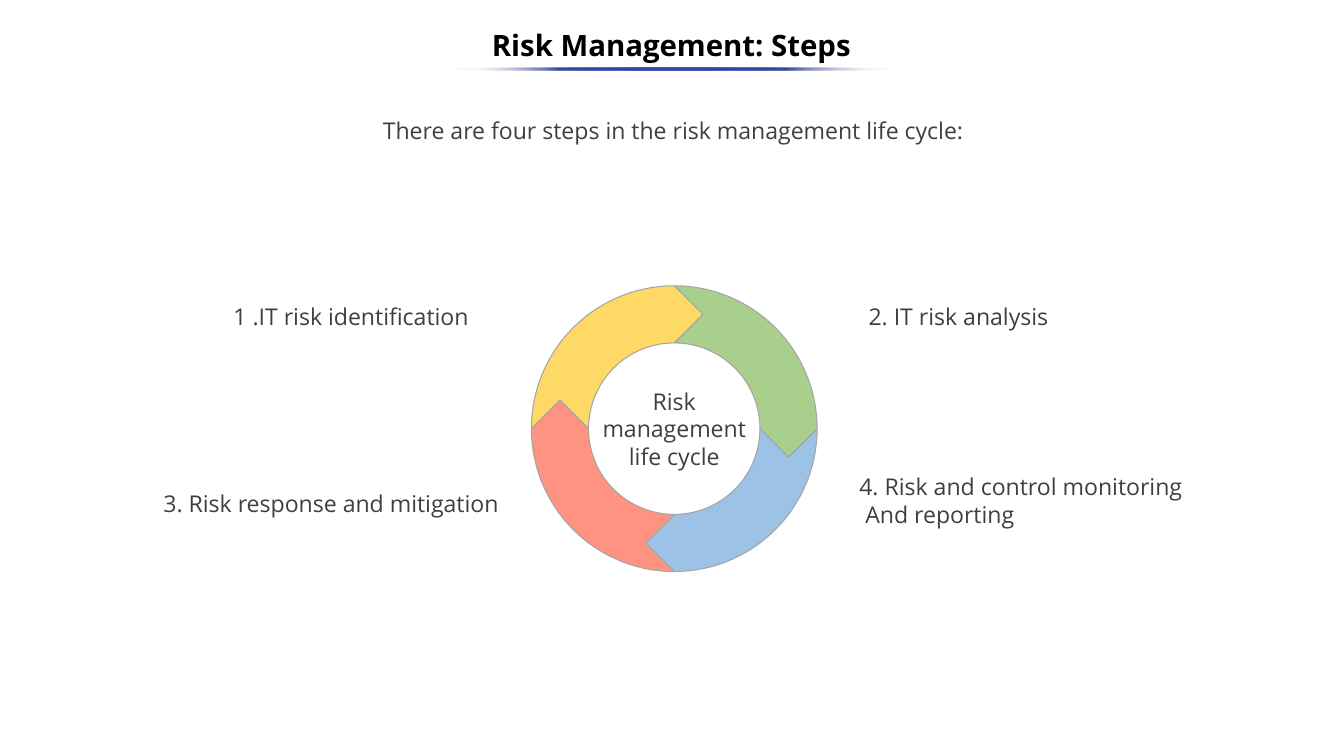
from math import cos, radians, sin

from lxml import etree
from pptx import Presentation
from pptx.dml.color import RGBColor
from pptx.enum.shapes import MSO_SHAPE
from pptx.enum.text import MSO_ANCHOR, PP_ALIGN
from pptx.oxml import parse_xml
from pptx.oxml.ns import nsdecls, qn
from pptx.util import Inches, Pt

BLACK = RGBColor(0x00, 0x00, 0x00)
GREY_TEXT = RGBColor(0x3F, 0x3F, 0x3F)
OUTLINE = RGBColor(0xA5, 0xA5, 0xA5)
WHITE = RGBColor(0xFF, 0xFF, 0xFF)
INDIGO = RGBColor(0x36, 0x45, 0xA9)
GREEN = RGBColor(0xA8, 0xD0, 0x8C)
YELLOW = RGBColor(0xFF, 0xD9, 0x66)
BLUE = RGBColor(0x9C, 0xC2, 0xE5)
CORAL = RGBColor(0xFF, 0x93, 0x81)

TITLE_FONT = {"name": "Open Sans", "size": Pt(28), "bold": True}
BODY_FONT = {"name": "Open Sans", "size": Pt(22)}

# Ring segments: start angle (clockwise from the right) and colour
SEGMENTS = [(-90, GREEN), (180, YELLOW), (0, BLUE), (90, CORAL)]

# Step labels: box, alignment and lines
STEPS = [
    ((2.99, 3.95, 5.54, 0.47), PP_ALIGN.LEFT, ["1 .IT risk identification"]),
    ((10.46, 3.95, 4.44, 0.47), PP_ALIGN.CENTER, ["2. IT risk analysis"]),
    ((1.73, 6.42, 5.3, 0.47), PP_ALIGN.CENTER, ["3. Risk response and mitigation"]),
    ((11.27, 6.2, 6.4, 0.84), PP_ALIGN.LEFT,
     ["4. Risk and control monitoring", " And reporting"]),
]


def add_text(slide, box, lines, align=PP_ALIGN.CENTER, font=BODY_FONT,
             color=GREY_TEXT, anchor=MSO_ANCHOR.TOP, spacing=None):
    frame = slide.shapes.add_textbox(*map(Inches, box)).text_frame
    frame.word_wrap = True
    frame.vertical_anchor = anchor
    for index, line in enumerate(lines):
        paragraph = frame.paragraphs[0] if index == 0 else frame.add_paragraph()
        paragraph.alignment = align
        paragraph.line_spacing = spacing
        run = paragraph.add_run()
        run.text = line
        for name, value in font.items():
            setattr(run.font, name, value)
        run.font.color.rgb = color


def add_header(slide, box):
    """Title with a thin rule that fades out at both ends."""
    left, top, width, height = box
    add_text(slide, box, ["Risk Management: Steps"], font=TITLE_FONT, color=BLACK,
             anchor=MSO_ANCHOR.MIDDLE, spacing=0.9)

    rule_width = width / 3
    rule = slide.shapes.add_shape(
        MSO_SHAPE.OVAL, Inches(left + (width - rule_width) / 2 + 0.02),
        Inches(top + height - 0.11), Inches(rule_width), Inches(0.04))
    rule.shadow.inherit = False
    rule.line.fill.background()

    stops = [(0, WHITE, 0), (25, INDIGO, 100), (50, INDIGO, 100),
             (75, INDIGO, 100), (100, WHITE, 0)]
    gradient = parse_xml(
        f'<a:gradFill {nsdecls("a")} rotWithShape="1"><a:gsLst/>'
        '<a:lin ang="10800000" scaled="0"/></a:gradFill>')
    for position, color, opacity in stops:
        stop = etree.SubElement(gradient[0], qn("a:gs"), pos=str(position * 1000))
        tint = etree.SubElement(stop, qn("a:srgbClr"), val=str(color))
        etree.SubElement(tint, qn("a:alpha"), val=str(opacity * 1000))
    rule.element.spPr.find(qn("a:prstGeom")).addnext(gradient)


def add_cycle(slide, box):
    """Ring of four chevron-ended quarters around a caption."""
    left, top, size, _ = box
    outer = size / 2
    inner = outer * 0.6
    middle = (outer + inner) / 2
    tip = (outer - inner) / 2
    center_x, center_y = left + outer, top + outer

    def point(radius, degrees, forward=0):
        angle = radians(degrees)
        return (Inches(center_x + radius * cos(angle) - forward * sin(angle)),
                Inches(center_y + radius * sin(angle) + forward * cos(angle)))

    for start, color in SEGMENTS:
        sweep = range(start, start + 91, 3)
        points = [point(outer, angle) for angle in sweep]
        points.append(point(middle, start + 90, tip))
        points += [point(inner, angle) for angle in reversed(sweep)]
        points.append(point(middle, start, tip))
        builder = slide.shapes.build_freeform(*points[0])
        builder.add_line_segments(points[1:], close=True)
        segment = builder.convert_to_shape()
        segment.shadow.inherit = False
        segment.fill.solid()
        segment.fill.fore_color.rgb = color
        segment.line.color.rgb = OUTLINE
        segment.line.width = Pt(1)

    add_text(slide, (center_x - inner, center_y - 0.6, 2 * inner, 1.21),
             ["Risk management life cycle"])


def add_steps(slide):
    for box, align, lines in STEPS:
        add_text(slide, box, lines, align)


def main():
    deck = Presentation()
    deck.slide_width = Inches(17.78)
    deck.slide_height = Inches(10)
    slide = deck.slides.add_slide(deck.slide_layouts[6])

    add_header(slide, (-0.02, 0.25, 17.8, 0.75))
    add_text(slide, (4.78, 1.49, 8.25, 0.47),
             ["There are four steps in the risk management life cycle:"])
    add_cycle(slide, (7.03, 3.78, 3.78, 3.78))
    add_steps(slide)

    deck.save("out.pptx")


if __name__ == "__main__":
    main()
